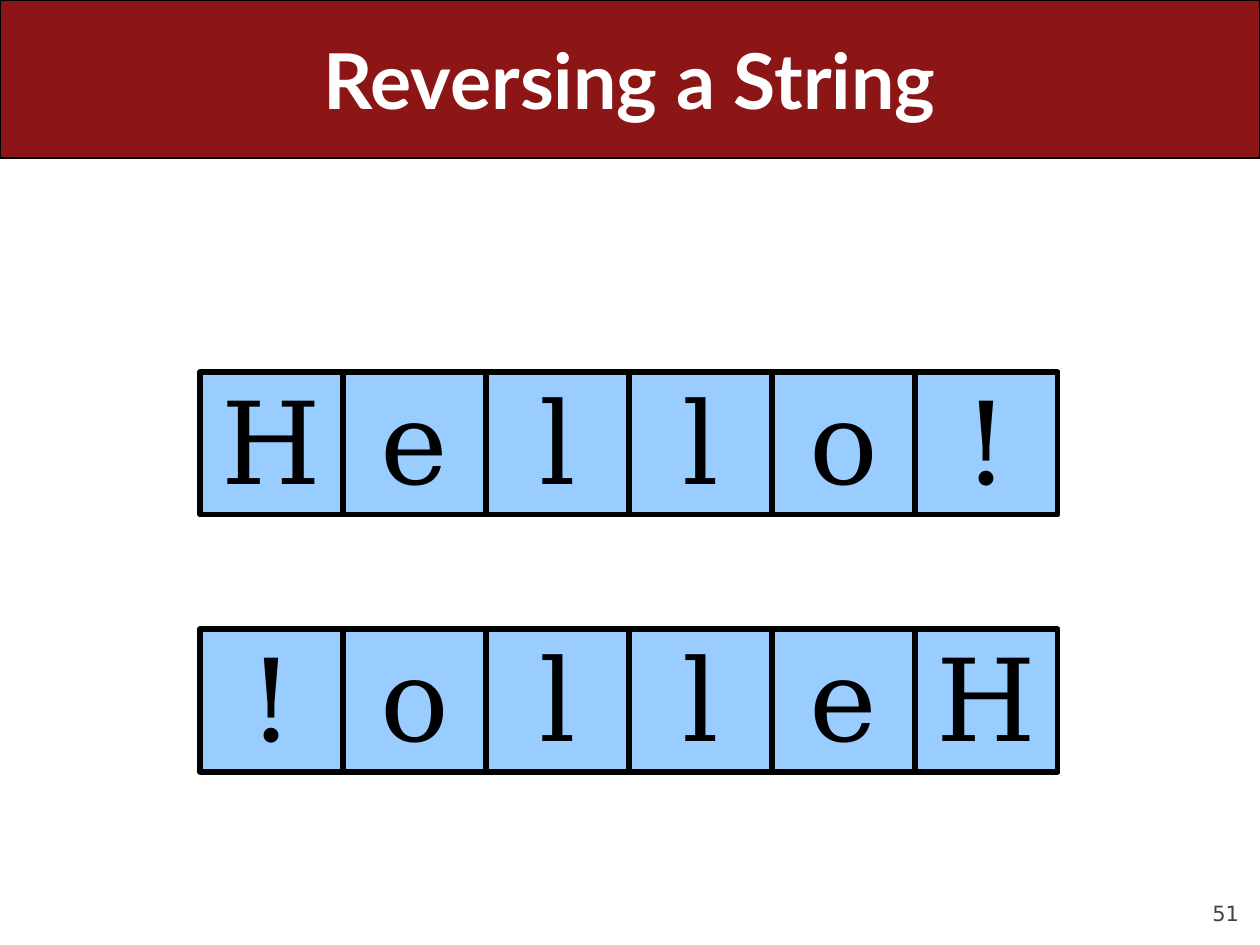
"""Build a slide that shows a string and its reversal as rows of letter cells."""
from dataclasses import dataclass

from pptx import Presentation
from pptx.dml.color import RGBColor
from pptx.enum.shapes import MSO_SHAPE
from pptx.enum.text import MSO_ANCHOR, PP_ALIGN
from pptx.util import Pt

RECTANGLE = MSO_SHAPE.RECTANGLE
ROUNDED = MSO_SHAPE.ROUNDED_RECTANGLE
MIDDLE, BOTTOM = MSO_ANCHOR.MIDDLE, MSO_ANCHOR.BOTTOM
CENTER, RIGHT = PP_ALIGN.CENTER, PP_ALIGN.RIGHT

EMU_PER_PX = 914400 / 126
SLIDE_WIDTH, SLIDE_HEIGHT = 1260, 945
BANNER_HEIGHT = 158
WORD = "Hello!"
CELL_SIZE = 143
ROW_LEFT = 200
WORD_TOP, REVERSED_TOP = 372, 629


@dataclass(frozen=True)
class Theme:
    banner: str = "8C1515"
    cell: str = "99CCFF"
    ink: str = "000000"
    title_color: str = "FFFFFF"
    number_color: str = "424242"
    title_font: str = "Lato"
    cell_font: str = "DejaVu Serif"
    number_font: str = "DejaVu Sans"
    title_size: float = 44
    cell_size: float = 65.3
    number_size: float = 12
    banner_line: float = 0.75
    cell_line: float = 2.89


def px(value):
    return round(value * EMU_PER_PX)


def write_text(shape, text, *, font, size, color, bold=False, align=CENTER,
               anchor=MIDDLE, insets=(13, 6, 13, 6), wrap=True,
               line_spacing=None, space_before=None):
    frame = shape.text_frame
    frame.word_wrap = wrap
    frame.vertical_anchor = anchor
    (frame.margin_left, frame.margin_top,
     frame.margin_right, frame.margin_bottom) = map(px, insets)
    paragraph = frame.paragraphs[0]
    paragraph.alignment = align
    paragraph.line_spacing = line_spacing
    paragraph.space_before = space_before
    run = paragraph.add_run()
    run.text = text
    run.font.name = font
    run.font.size = Pt(size)
    run.font.bold = bold
    run.font.color.rgb = RGBColor.from_string(color)


class SlideBuilder:
    def __init__(self, slide, theme):
        self.slide = slide
        self.theme = theme

    def box(self, kind, left, top, width, height, fill, line_width):
        shape = self.slide.shapes.add_shape(
            kind, px(left), px(top), px(width), px(height))
        shape.shadow.inherit = False
        shape.fill.solid()
        shape.fill.fore_color.rgb = RGBColor.from_string(fill)
        shape.line.color.rgb = RGBColor.from_string(self.theme.ink)
        shape.line.width = Pt(line_width)
        return shape

    def label(self, text, left, top, width, height, **text_format):
        shape = self.slide.shapes.add_textbox(
            px(left), px(top), px(width), px(height))
        write_text(shape, text, **text_format)

    def banner(self, title):
        theme = self.theme
        shape = self.box(ROUNDED, 0, 0, SLIDE_WIDTH, BANNER_HEIGHT,
                         theme.banner, theme.banner_line)
        shape.adjustments[0] = 0
        self.label(title, 63, 0, SLIDE_WIDTH - 2 * 63, BANNER_HEIGHT,
                   font=theme.title_font, size=theme.title_size,
                   color=theme.title_color, bold=True)

    def letter_row(self, word, top):
        theme = self.theme
        for index, letter in enumerate(word):
            cell = self.box(RECTANGLE, ROW_LEFT + index * CELL_SIZE, top,
                            CELL_SIZE, CELL_SIZE, theme.cell, theme.cell_line)
            write_text(cell, letter, font=theme.cell_font,
                       size=theme.cell_size, color=theme.ink,
                       insets=(14, 10, 14, 8), wrap=False, line_spacing=0.98)

    def page_number(self, number):
        theme = self.theme
        self.label(number, 1134, 876, 105, 50, font=theme.number_font,
                   size=theme.number_size, color=theme.number_color,
                   align=RIGHT, anchor=BOTTOM, insets=(0, 0, 0, 0),
                   space_before=Pt(5))


def main():
    presentation = Presentation()
    presentation.slide_width = px(SLIDE_WIDTH)
    presentation.slide_height = px(SLIDE_HEIGHT)
    slide = presentation.slides.add_slide(presentation.slide_layouts[6])
    builder = SlideBuilder(slide, Theme())
    builder.page_number("51")
    builder.banner("Reversing a String")
    builder.letter_row(WORD, WORD_TOP)
    builder.letter_row(WORD[::-1], REVERSED_TOP)
    presentation.save("out.pptx")


if __name__ == "__main__":
    main()
